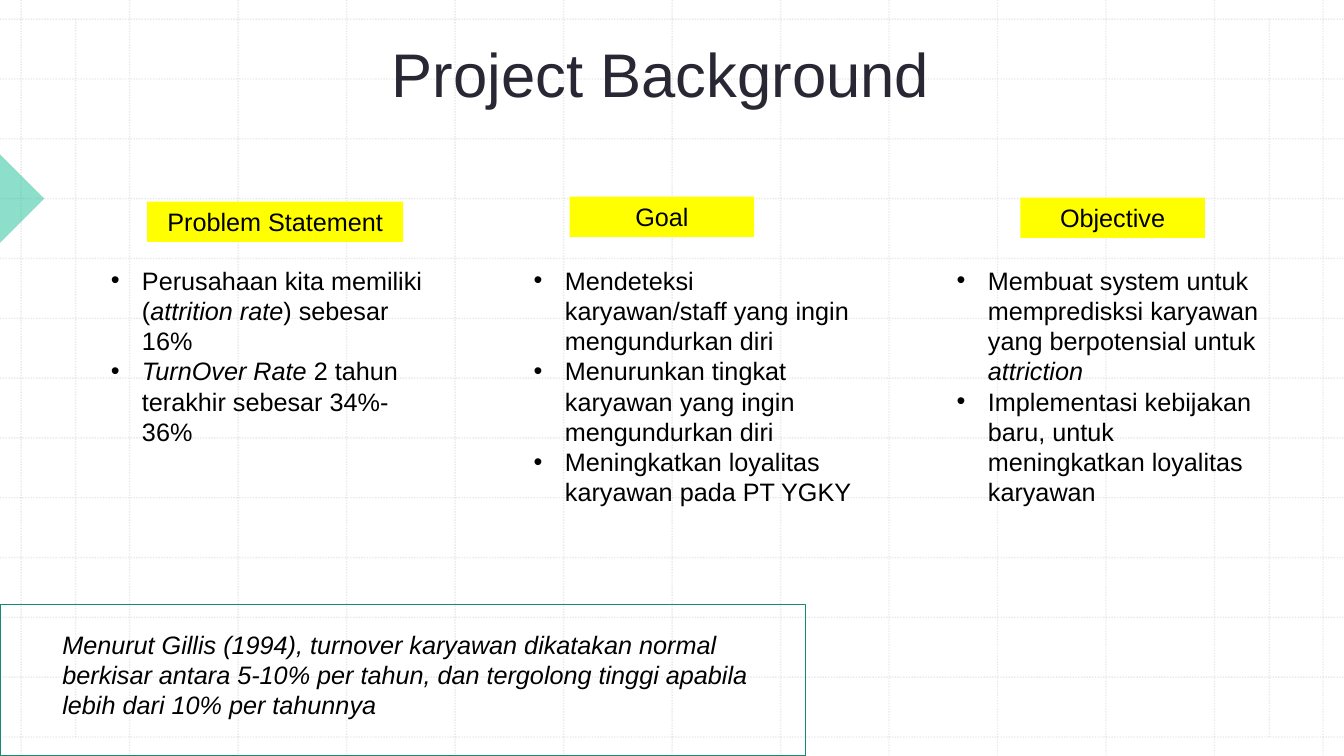
"""Build the Project Background slide."""
from lxml.etree import SubElement
from pptx import Presentation
from pptx.dml.color import RGBColor
from pptx.enum.dml import MSO_LINE
from pptx.enum.shapes import MSO_CONNECTOR, MSO_SHAPE
from pptx.enum.text import MSO_ANCHOR, PP_ALIGN
from pptx.oxml.ns import qn
from pptx.util import Inches, Pt

HUES = {"grid": "BCBCBC", "mint": "1EBE9B", "title": "2A2735",
        "tag": "FFFF00", "text": "000000", "frame": "158A71"}
WIDE, HIGH = 13.33, 7.5
COL, ROW = 1.076, 0.5935
LEFT, TOP = 0.21, 0.19

deck = Presentation()
deck.slide_width, deck.slide_height = Inches(WIDE), Inches(HIGH)
slide = deck.slides.add_slide(deck.slide_layouts[6])
shapes = slide.shapes


def paint(fill, hue, alpha=100):
    fill.solid()
    fill.fore_color.rgb = RGBColor.from_string(HUES[hue])
    if alpha < 100:
        tint = fill._xPr.find(".//" + qn("a:srgbClr"))
        SubElement(tint, qn("a:alpha"), val=str(alpha * 1000))


def write(shape, lines, size=18, hue="text", align=PP_ALIGN.LEFT, bullet=False):
    frame = shape.text_frame
    frame.word_wrap = True
    frame.vertical_anchor = MSO_ANCHOR.TOP
    for i, line in enumerate(lines):
        para = frame.add_paragraph() if i else frame.paragraphs[0]
        para.alignment = align
        if bullet:
            props = para._p.get_or_add_pPr()
            props.set("marL", str(Inches(0.31)))
            props.set("indent", str(-Inches(0.31)))
            SubElement(props, qn("a:buFont"), typeface="Arial")
            SubElement(props, qn("a:buChar"), char="•")
        para.font.name, para.font.size = "Arial", Pt(size)
        para.font.color.rgb = RGBColor.from_string(HUES[hue])
        for j, part in enumerate(line.split("*")):
            if part:
                run = para.add_run()
                run.text = part
                if j % 2:
                    run.font.italic = True


ends = [(LEFT + i * COL, 0, LEFT + i * COL, HIGH) for i in range(13)]
ends += [(0, TOP + i * ROW, WIDE, TOP + i * ROW) for i in range(13)]
ends += [(x, TOP, x, HIGH - TOP) for x in (0.75, 12.59)]
for end in ends:
    rule = shapes.add_connector(MSO_CONNECTOR.STRAIGHT, *map(Inches, end))
    paint(rule.line.fill, "grid", 30)
    rule.line.width = Pt(1)
    rule.line.dash_style = MSO_LINE.ROUND_DOT
    SubElement(rule._element.spPr, qn("a:effectLst"))

wedge = shapes.add_shape(MSO_SHAPE.RIGHT_TRIANGLE,
                         *map(Inches, (-0.31, 1.66, 0.62, 0.62)))
wedge.rotation = 225
wedge.shadow.inherit = False
paint(wedge.fill, "mint", 50)
wedge.line.fill.background()

title = shapes.add_textbox(*map(Inches, (0.71, 0.21, 11.69, 0.93)))
write(title, ["Project Background"], 44, "title", PP_ALIGN.CENTER)
title.text_frame.vertical_anchor = MSO_ANCHOR.BOTTOM

parts = [
    ("Problem Statement", 1.46, 2, 2.54, 3.45, 1.62, [
        "Perusahaan kita memiliki (*attrition rate*) sebesar 16%",
        "*TurnOver Rate *2 tahun terakhir sebesar 34%-36%"]),
    ("Goal", 5.65, 1.95, 1.83, 3.45, 2.52, [
        "Mendeteksi karyawan/staff yang ingin mengundurkan diri",
        "Menurunkan tingkat karyawan yang ingin mengundurkan diri",
        "Meningkatkan loyalitas karyawan pada PT YGKY"]),
    ("Objective", 10.12, 1.96, 1.83, 3.29, 2.52, [
        "Membuat system untuk mempredisksi karyawan yang berpotensial "
        "untuk *attriction*",
        "Implementasi kebijakan baru, untuk meningkatkan loyalitas karyawan"]),
]
for i, (name, x, y, span, wide, high, points) in enumerate(parts):
    tag = shapes.add_shape(MSO_SHAPE.RECTANGLE, *map(Inches, (x, y, span, 0.4)))
    tag.shadow.inherit = False
    paint(tag.fill, "tag")
    tag.line.fill.background()
    write(tag, [name], align=PP_ALIGN.CENTER)
    body = shapes.add_textbox(*map(Inches, (1 + i * 4.195, 2.58, wide, high)))
    write(body, points, bullet=True)

quote = shapes.add_textbox(*map(Inches, (0.52, 6.19, 7.28, 1.31)))
write(quote, ["Menurut Gillis (1994), turnover karyawan dikatakan normal berkisar "
              "antara 5-10% per tahun, dan tergolong tinggi apabila lebih dari "
              "10% per tahunnya"])
quote.text_frame.paragraphs[0].font.italic = True

frame = shapes.add_shape(MSO_SHAPE.RECTANGLE, *map(Inches, (0, 6, 7.99, 1.5)))
frame.shadow.inherit = False
frame.fill.background()
paint(frame.line.fill, "frame")
frame.line.width = Pt(1)

deck.save("out.pptx")
